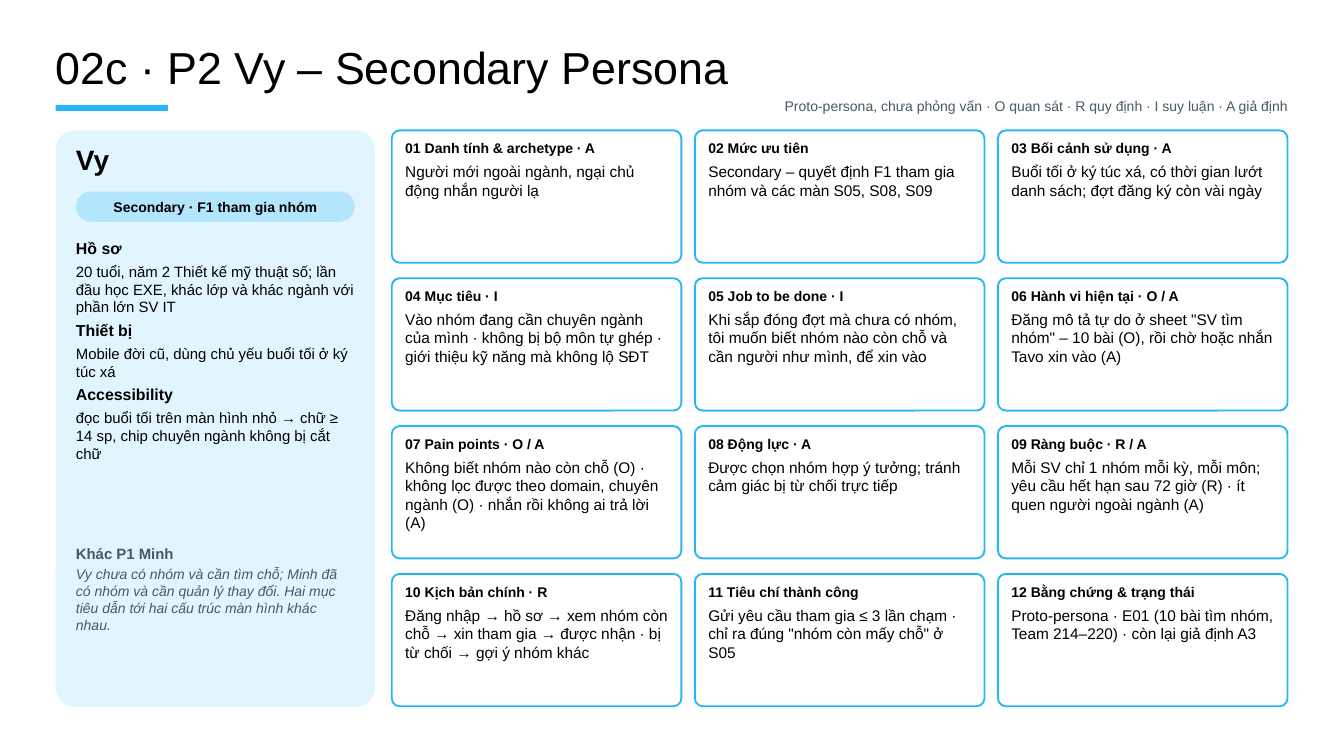
from pptx import Presentation
from pptx.dml.color import RGBColor
from pptx.enum.shapes import MSO_SHAPE
from pptx.enum.text import MSO_ANCHOR, MSO_AUTO_SIZE, PP_ALIGN
from pptx.util import Inches, Pt

COLORS = {
    "accent": "29B6F6",
    "panel": "E1F5FE",
    "pill": "B3E5FC",
    "card": "FFFFFF",
    "ink": "000000",
    "muted": "455A64",
}
FONT = "Arial"

PROFILE = [
    ("Hồ sơ", "20 tuổi, năm 2 Thiết kế mỹ thuật số; lần đầu học EXE, khác lớp và khác ngành với phần lớn SV IT"),
    ("Thiết bị", "Mobile đời cũ, dùng chủ yếu buổi tối ở ký túc xá"),
    ("Accessibility", "đọc buổi tối trên màn hình nhỏ → chữ ≥ 14 sp, chip chuyên ngành không bị cắt chữ"),
]

CONTRAST = (
    "Vy chưa có nhóm và cần tìm chỗ; Minh đã có nhóm và cần quản lý thay đổi. "
    "Hai mục tiêu dẫn tới hai cấu trúc màn hình khác nhau."
)

CARDS = [
    ("Danh tính & archetype · A", "Người mới ngoài ngành, ngại chủ động nhắn người lạ"),
    ("Mức ưu tiên", "Secondary – quyết định F1 tham gia nhóm và các màn S05, S08, S09"),
    ("Bối cảnh sử dụng · A", "Buổi tối ở ký túc xá, có thời gian lướt danh sách; đợt đăng ký còn vài ngày"),
    ("Mục tiêu · I", "Vào nhóm đang cần chuyên ngành của mình · không bị bộ môn tự ghép · giới thiệu kỹ năng mà không lộ SĐT"),
    ("Job to be done · I", "Khi sắp đóng đợt mà chưa có nhóm, tôi muốn biết nhóm nào còn chỗ và cần người như mình, để xin vào"),
    ("Hành vi hiện tại · O / A", 'Đăng mô tả tự do ở sheet "SV tìm nhóm" – 10 bài (O), rồi chờ hoặc nhắn Tavo xin vào (A)'),
    ("Pain points · O / A", "Không biết nhóm nào còn chỗ (O) · không lọc được theo domain, chuyên ngành (O) · nhắn rồi không ai trả lời (A)"),
    ("Động lực · A", "Được chọn nhóm hợp ý tưởng; tránh cảm giác bị từ chối trực tiếp"),
    ("Ràng buộc · R / A", "Mỗi SV chỉ 1 nhóm mỗi kỳ, mỗi môn; yêu cầu hết hạn sau 72 giờ (R) · ít quen người ngoài ngành (A)"),
    ("Kịch bản chính · R", "Đăng nhập → hồ sơ → xem nhóm còn chỗ → xin tham gia → được nhận · bị từ chối → gợi ý nhóm khác"),
    ("Tiêu chí thành công", 'Gửi yêu cầu tham gia ≤ 3 lần chạm · chỉ ra đúng "nhóm còn mấy chỗ" ở S05'),
    ("Bằng chứng & trạng thái", "Proto-persona · E01 (10 bài tìm nhóm, Team 214–220) · còn lại giả định A3"),
]


def rgb(name):
    return RGBColor.from_string(COLORS[name])


def add_block(slide, box, fill, radius=None, outline=None):
    kind = MSO_SHAPE.RECTANGLE if radius is None else MSO_SHAPE.ROUNDED_RECTANGLE
    block = slide.shapes.add_shape(kind, *map(Inches, box))
    block.shadow.inherit = False
    block.fill.solid()
    block.fill.fore_color.rgb = rgb(fill)
    if radius is not None:
        block.adjustments[0] = radius
    if outline:
        block.line.color.rgb = rgb(outline)
        block.line.width = Pt(2)
    else:
        block.line.fill.background()


def add_text(slide, box, lines, color="ink", align=PP_ALIGN.LEFT,
             after=4, anchor=MSO_ANCHOR.TOP, spacing=None):
    frame = slide.shapes.add_textbox(*map(Inches, box)).text_frame
    frame.word_wrap = True
    frame.auto_size = MSO_AUTO_SIZE.SHAPE_TO_FIT_TEXT
    frame.vertical_anchor = anchor
    frame.margin_left = frame.margin_right = 0
    frame.margin_top = frame.margin_bottom = 0
    frame.text = "\n".join(text for text, *_ in lines)
    for paragraph, (_, size, bold, italic) in zip(frame.paragraphs, lines):
        paragraph.alignment = align
        paragraph.space_after = Pt(after)
        if spacing:
            paragraph.line_spacing = Pt(spacing)
        for run in paragraph.runs:
            run.font.name = FONT
            run.font.size = Pt(size)
            run.font.bold = bold
            run.font.italic = italic
            run.font.color.rgb = rgb(color)


def add_header(slide):
    add_text(slide, (0.83, 0.72, 18.54, 0.71),
             [("02c · P2 Vy – Secondary Persona", 48, False, False)],
             after=0, spacing=48)
    add_block(slide, (0.83, 1.56, 1.67, 0.09), "accent")
    legend = "Proto-persona, chưa phỏng vấn · O quan sát · R quy định · I suy luận · A giả định"
    add_text(slide, (9, 1.45, 10.17, 0.35), [(legend, 15, False, False)],
             color="muted", align=PP_ALIGN.RIGHT)


def add_profile(slide):
    left, width = 1.13, 4.15
    add_block(slide, (0.83, 1.94, 4.75, 8.58), "panel", 0.06)
    add_text(slide, (left, 2.12, width, 0.6), [("Vy", 30, True, False)])
    add_block(slide, (left, 2.85, width, 0.45), "pill", 0.5)
    add_text(slide, (left, 2.88, width, 0.4),
             [("Secondary · F1 tham gia nhóm", 15, True, False)],
             align=PP_ALIGN.CENTER, anchor=MSO_ANCHOR.MIDDLE)
    facts = []
    for label, detail in PROFILE:
        facts += [(label, 17, True, False), (detail, 16, False, False)]
    add_text(slide, (left, 3.55, width, 4.6), facts, after=5)
    add_text(slide, (left, 8.1, width, 2.2),
             [("Khác P1 Minh", 16, True, False), (CONTRAST, 15, False, True)],
             color="muted")


def add_cards(slide):
    for index, (heading, body) in enumerate(CARDS):
        row, column = divmod(index, 3)
        left, top = 5.83 + column * 4.51, 1.94 + row * 2.2
        add_block(slide, (left, top, 4.31, 1.97), "card", 0.06, "accent")
        add_text(slide, (left + 0.2, top + 0.14, 3.91, 1.72),
                 [(f"{index + 1:02d} {heading}", 15, True, False),
                  (body, 16.5, False, False)], after=6)


def main():
    presentation = Presentation()
    presentation.slide_width = Inches(20)
    presentation.slide_height = Inches(11.25)
    slide = presentation.slides.add_slide(presentation.slide_layouts[6])
    add_header(slide)
    add_profile(slide)
    add_cards(slide)
    presentation.save("out.pptx")


if __name__ == "__main__":
    main()
